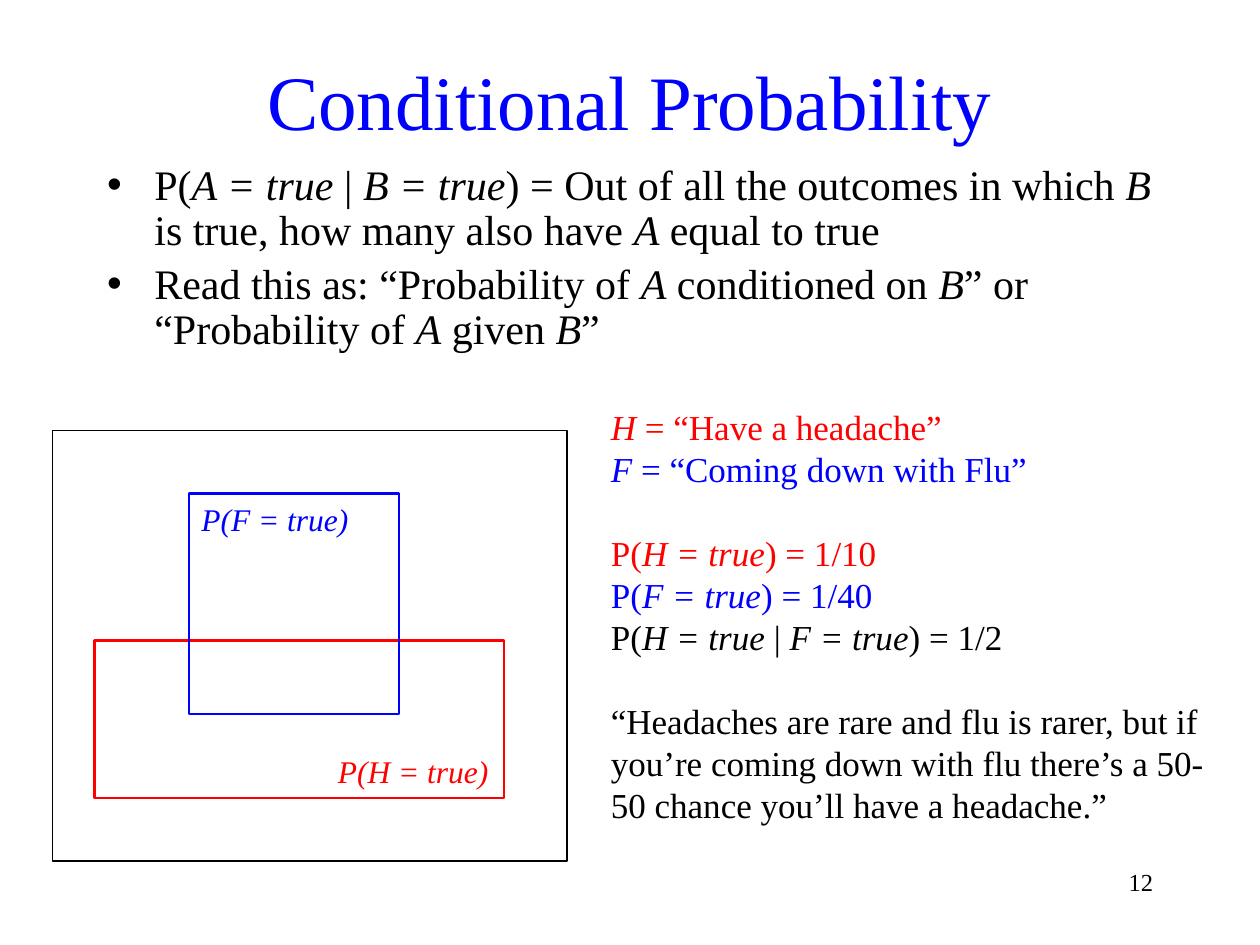
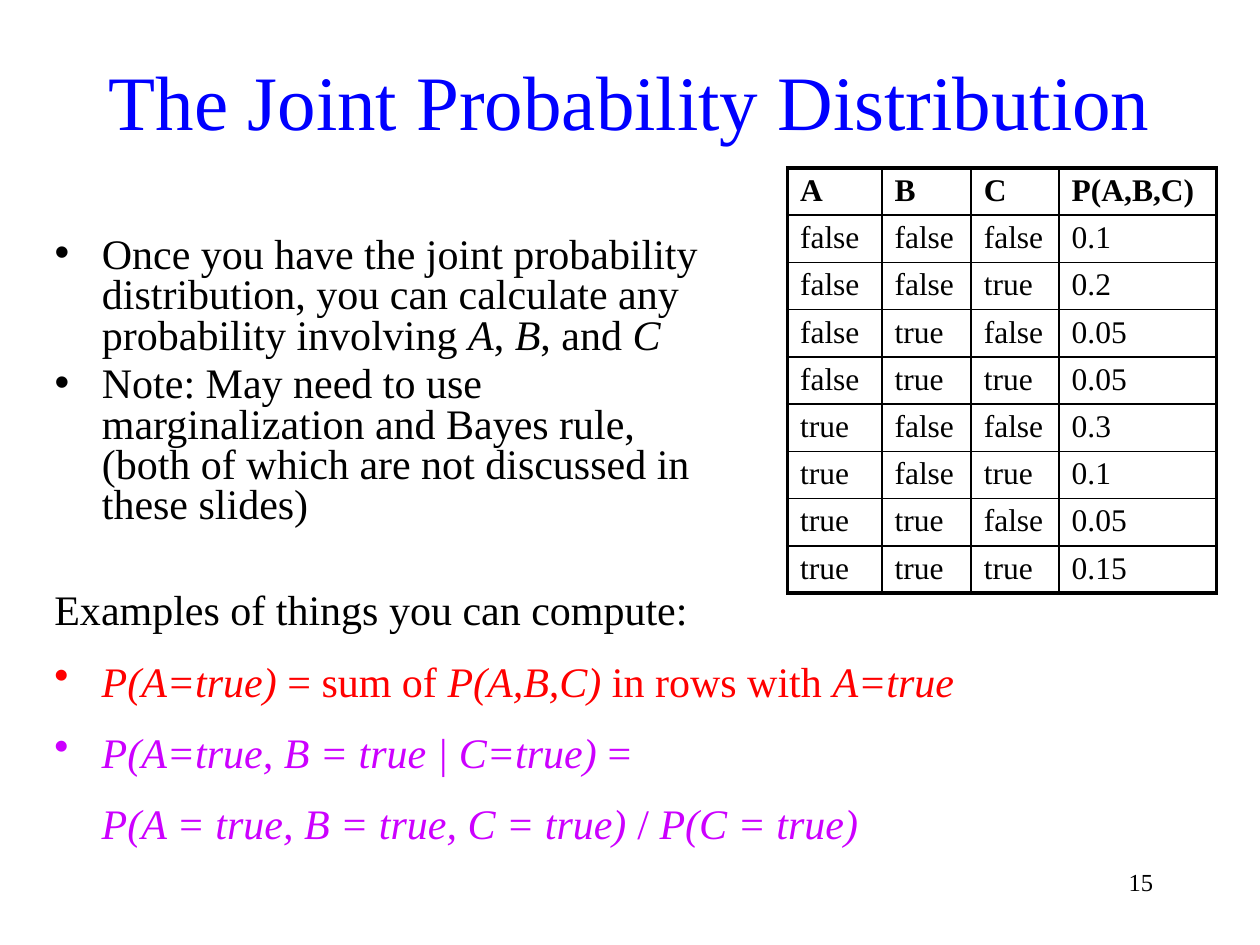
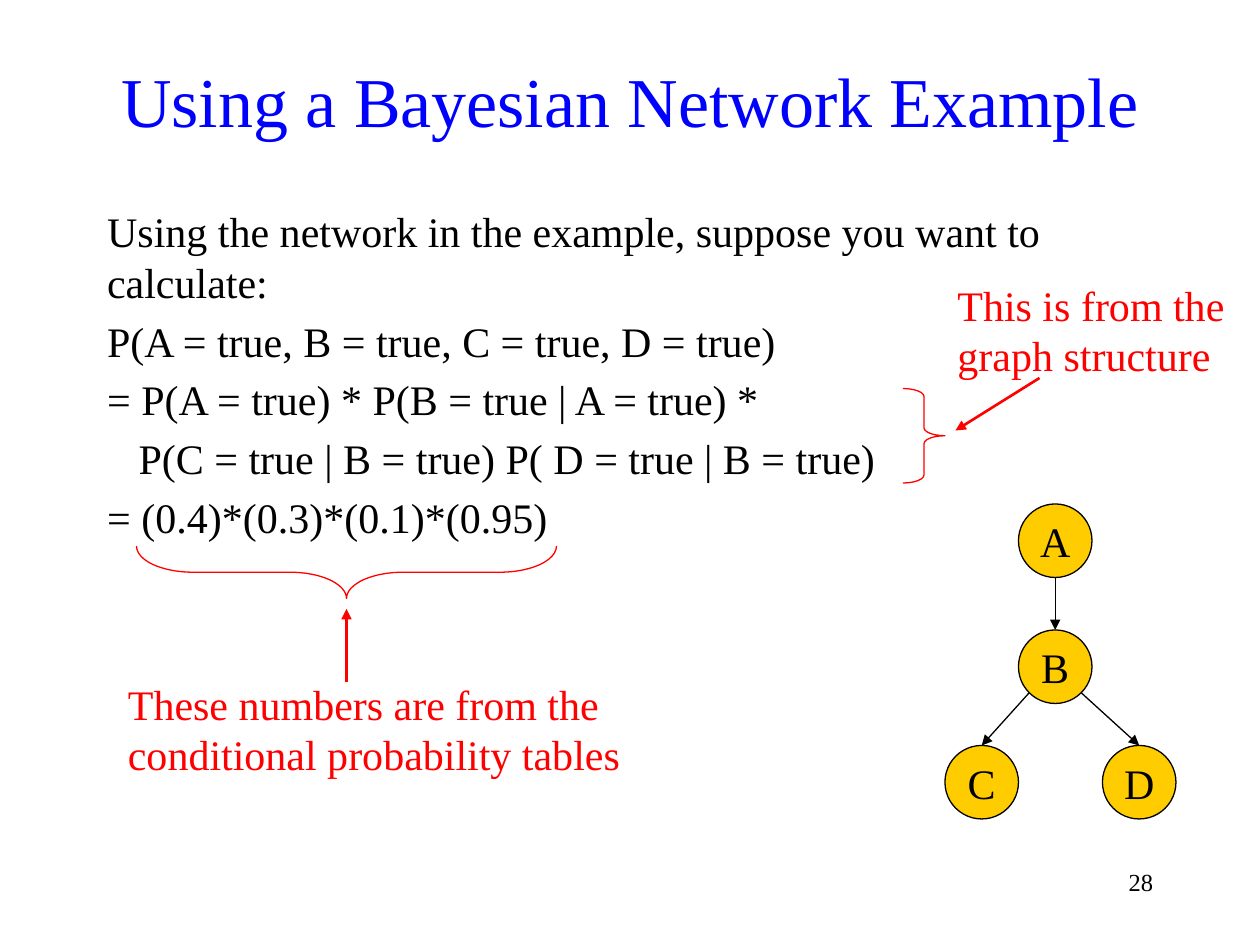
import dataclasses

import lxml.etree
import pptx
import pptx.dml.color
import pptx.enum.shapes
import pptx.enum.text
import pptx.oxml.ns
import pptx.util

EMU_PER_PX = 9525
SHAPES = pptx.enum.shapes.MSO_SHAPE
ALIGN = pptx.enum.text.PP_ALIGN
ANCHOR = pptx.enum.text.MSO_ANCHOR


@dataclasses.dataclass(frozen=True)
class Theme:
    font: str = "Times New Roman"
    ink: str = "000000"
    blue: str = "0000FF"
    red: str = "FF0000"
    violet: str = "CC00FF"
    gold: str = "FFCC00"
    title: int = 44
    long_title: int = 40
    body: int = 24
    notes: int = 20
    label: int = 18
    number: int = 14
    thin: float = 0.75
    grid: float = 1
    bold: float = 1.5
    frame: float = 2.25


THEME = Theme()


@dataclasses.dataclass
class Line:
    text: str
    color: str = THEME.ink
    bullet: bool = False
    before: float = 0
    indent: int = 0


def px(length):
    return pptx.util.Emu(length * EMU_PER_PX)


def rgb(color):
    return pptx.dml.color.RGBColor.from_string(color)


def add_child(parent, tag, **attributes):
    return lxml.etree.SubElement(parent, pptx.oxml.ns.qn(tag), attributes)


class Deck:
    def __init__(self, theme):
        self.theme = theme
        self.deck = pptx.Presentation()
        self.deck.slide_width, self.deck.slide_height = px(960), px(720)
        self.slide = None

    def start(self, title, number, size):
        self.slide = self.deck.slides.add_slide(self.deck.slide_layouts[1])
        self.fill_placeholder(self.slide.shapes.title, (72, 16, 816, 120), [Line(title, self.theme.blue)],
                              size, ANCHOR.MIDDLE, align=ALIGN.CENTER)
        self.text((784, 656, 104, 48), [Line(str(number))], self.theme.number, ALIGN.RIGHT)

    def add_lines(self, frame, lines, size, align=ALIGN.LEFT, spacing=None, bold=False):
        for index, line in enumerate(lines):
            paragraph = frame.add_paragraph() if index else frame.paragraphs[0]
            properties = paragraph._p.get_or_add_pPr()
            hang = 36 if line.bullet else 0
            properties.set("marL", str(px(line.indent + hang)))
            properties.set("indent", str(px(-hang)))
            if line.bullet:
                add_child(properties, "a:buChar", char="•")
            else:
                add_child(properties, "a:buNone")
            paragraph.alignment = align
            paragraph.space_before = pptx.util.Pt(line.before * size)
            if spacing:
                paragraph.line_spacing = spacing
            for part, words in enumerate(line.text.split("_")):
                if words:
                    run = paragraph.add_run()
                    run.text = words
                    run.font.name = self.theme.font
                    run.font.size = pptx.util.Pt(size)
                    run.font.color.rgb = rgb(line.color)
                    run.font.italic = part % 2 == 1
                    run.font.bold = bold

    def fill_placeholder(self, holder, box, lines, size, anchor, **style):
        holder.left, holder.top, holder.width, holder.height = map(px, box)
        frame = holder.text_frame
        frame.auto_size = pptx.enum.text.MSO_AUTO_SIZE.NONE
        frame.vertical_anchor = anchor
        self.add_lines(frame, lines, size, **style)

    def body(self, box, lines, spacing=None):
        self.fill_placeholder(self.slide.placeholders[1], box, lines, self.theme.body, ANCHOR.TOP, spacing=spacing)

    def text(self, box, lines, size, align=ALIGN.LEFT):
        frame = self.slide.shapes.add_textbox(*map(px, box)).text_frame
        frame.word_wrap = True
        self.add_lines(frame, lines, size, align)

    def shape(self, kind, box, color, width, fill=None):
        shape = self.slide.shapes.add_shape(kind, *map(px, box))
        shape.shadow.inherit = False
        shape.line.color.rgb = rgb(color)
        shape.line.width = pptx.util.Pt(width)
        if fill:
            shape.fill.solid()
            shape.fill.fore_color.rgb = rgb(fill)
        else:
            shape.fill.background()
        return shape

    def brace(self, box, curve, rotation=0):
        brace = self.shape(SHAPES.RIGHT_BRACE, box, self.theme.red, self.theme.thin)
        brace.adjustments[0] = curve
        brace.rotation = rotation

    def node(self, name, left, top):
        node = self.shape(SHAPES.OVAL, (left, top, 56, 56), self.theme.ink, self.theme.thin, self.theme.gold)
        node.text_frame.word_wrap = False
        node.text_frame.vertical_anchor = ANCHOR.MIDDLE
        self.add_lines(node.text_frame, [Line(name)], self.theme.body, ALIGN.CENTER)
        return node

    def arrow(self, start, end, color, width, target=None):
        arrow = self.slide.shapes.add_connector(
            pptx.enum.shapes.MSO_CONNECTOR.STRAIGHT, *map(px, start + end))
        if target:
            arrow.end_connect(target, 0)
        arrow.line.color.rgb = rgb(color)
        arrow.line.width = pptx.util.Pt(width)
        add_child(arrow.line._get_or_add_ln(), "a:tailEnd", type="triangle")
        add_child(arrow._element.spPr, "a:effectLst")

    def border(self, cell, side, width):
        edge = add_child(cell._tc.get_or_add_tcPr(), "a:ln" + side, w=str(pptx.util.Pt(width)))
        add_child(add_child(edge, "a:solidFill"), "a:srgbClr", val=self.theme.ink)

    def table(self, left, top, widths, row_height, rows):
        box = (left, top, sum(widths), row_height * len(rows))
        table = self.slide.shapes.add_table(len(rows), len(widths), *map(px, box)).table
        table.first_row = table.horz_banding = False
        for column, width in zip(table.columns, widths):
            column.width = px(width)
        for r, row in enumerate(rows):
            table.rows[r].height = px(row_height)
            for c, value in enumerate(row):
                cell = table.cell(r, c)
                outer = {"L": c == 0, "R": c == len(widths) - 1, "T": r == 0, "B": r == len(rows) - 1}
                for side, is_outer in outer.items():
                    self.border(cell, side, self.theme.frame if is_outer else self.theme.grid)
                cell.fill.background()
                cell.margin_top, cell.margin_bottom = px(4), px(0)
                self.add_lines(cell.text_frame, [Line(value)], self.theme.label, bold=r == 0)


def conditional_probability(deck):
    t = deck.theme
    deck.start("Conditional Probability", 12, t.title)
    deck.body((72, 120, 816, 176), [
        Line("P(_A = true _| _B = true_) = Out of all the outcomes in which _B_ is true, "
             "how many also have _A_ equal to true", bullet=True),
        Line("Read this as: “Probability of _A_ conditioned on _B_” or “Probability of _A_ given _B_”",
             bullet=True, before=0.2),
    ], 0.9)
    deck.text((144, 376, 136, 38), [Line("_P(F = true)_", t.blue)], t.label)
    deck.text((248, 568, 136, 38), [Line("_P(H = true)_", t.red)], t.label)
    deck.shape(SHAPES.RECTANGLE, (40, 328, 392, 328), t.ink, t.thin)
    deck.text((456, 304, 480, 329), [
        Line("_H _= “Have a headache”", t.red),
        Line("_F_ = “Coming down with Flu”", t.blue),
        Line("P(_H = true_) = 1/10", t.red, before=1.2),
        Line("P(_F = true_) = 1/40", t.blue),
        Line("P(_H = true _| _F = true_) = 1/2"),
        Line("“Headaches are rare and flu is rarer, but if you’re coming down with flu "
             "there’s a 50-50 chance you’ll have a headache.”", before=1.2),
    ], t.notes)
    deck.shape(SHAPES.RECTANGLE, (72, 488, 312, 120), t.red, t.bold)
    deck.shape(SHAPES.RECTANGLE, (144, 376, 160, 168), t.blue, t.bold)


def joint_distribution(deck):
    t = deck.theme
    deck.start("The Joint Probability Distribution", 15, t.title)
    deck.body((32, 176, 512, 240), [
        Line("Once you have the joint probability distribution, you can calculate any "
             "probability involving _A_, _B_, and _C_", bullet=True),
        Line("Note: May need to use marginalization and Bayes rule, "
             "(both of which are not discussed in these slides)", bullet=True, before=0.2),
    ], 0.8)
    deck.table(600, 128, [72, 68, 67, 120], 36, [
        ("A", "B", "C", "P(A,B,C)"),
        ("false", "false", "false", "0.1"),
        ("false", "false", "true", "0.2"),
        ("false", "true", "false", "0.05"),
        ("false", "true", "true", "0.05"),
        ("true", "false", "false", "0.3"),
        ("true", "false", "true", "0.1"),
        ("true", "true", "false", "0.05"),
        ("true", "true", "true", "0.15"),
    ])
    deck.text((32, 440, 720, 223), [
        Line("Examples of things you can compute:"),
        Line("_P(A=true)_ = sum of _P(A,B,C)_ in rows with _A=true_", t.red, bullet=True, before=0.5),
        Line("_P(A=true, B = true | C=true)_ =", t.violet, bullet=True, before=0.5),
        Line("_P(A = true, B = true, C = true)_ / _P(C = true)_", t.violet, before=0.5, indent=36),
    ], t.body)


def bayesian_network(deck):
    t = deck.theme
    deck.start("Using a Bayesian Network Example", 28, t.long_title)
    deck.body((72, 152, 816, 272), [
        Line("Using the network in the example, suppose you want to calculate:"),
        Line("P(A = true, B = true, C = true, D = true)", before=0.2),
        Line("= P(A = true) * P(B = true | A = true) *", before=0.2),
        Line("P(C = true | B = true) P( D = true | B = true)", before=0.2, indent=24),
        Line("= (0.4)*(0.3)*(0.1)*(0.95)", before=0.2),
    ])
    deck.node("A", 776, 384)
    b = deck.node("B", 776, 480)
    c = deck.node("C", 720, 568)
    d = deck.node("D", 840, 568)
    for start, end, child in [((804, 440), (804, 480), b),
                              ((784, 528), (748, 568), c),
                              ((824, 528), (868, 568), d)]:
        deck.arrow(start, end, t.ink, t.thin, child)
    deck.brace((688, 296, 32, 72), 0.19)
    deck.text((720, 208, 224, 86), [Line("This is from the graph structure", t.red)], t.body)
    deck.arrow((792, 288), (728, 328), t.red, t.bold)
    deck.brace((244, 276, 40, 320), 1.08, 90)
    deck.text((88, 512, 408, 86), [
        Line("These numbers are from the conditional probability tables", t.red)], t.body)
    deck.arrow((264, 520), (264, 464), t.red, t.bold)


def main():
    deck = Deck(THEME)
    conditional_probability(deck)
    joint_distribution(deck)
    bayesian_network(deck)
    deck.deck.save("out.pptx")


if __name__ == "__main__":
    main()
